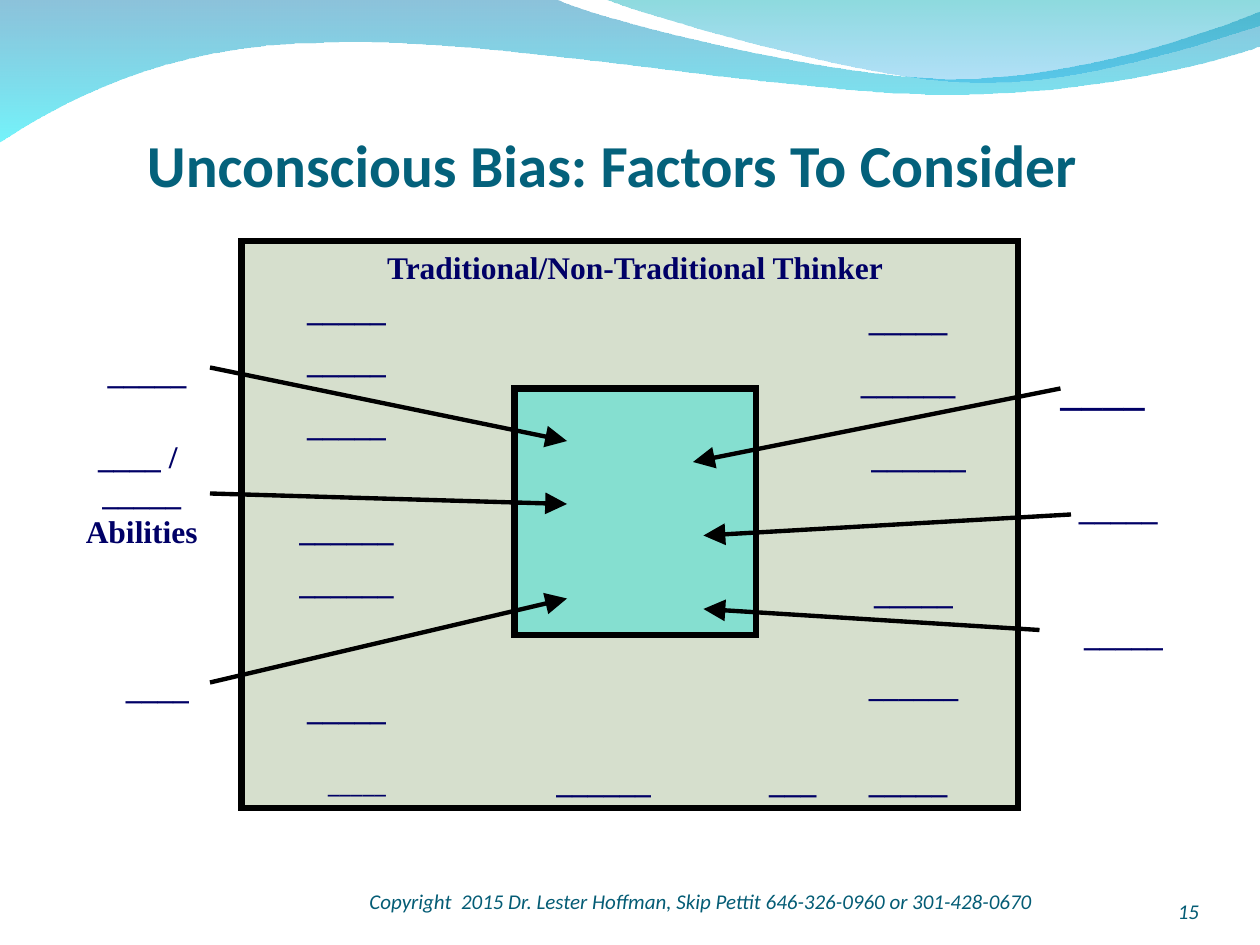
from lxml import etree
from pptx import Presentation
from pptx import util as u
from pptx.dml.color import RGBColor
from pptx.enum import shapes, text
from pptx.oxml.ns import qn

NAVY, BLACK = "000066", "000000"
SERIF, SANS = "Times New Roman", "Calibri"

# Each wave: start point, then line ends (x, y) or curves (x1, y1, x2, y2, x, y)
BACK_WAVE = [
    (-0.7, -0.7), (317, -0.7), (343, 12, 478, 45, 546, 45),
    (614, 45, 690, 19, 720, 6.5), (720.7, 26), (708, 32, 626, 55, 537, 54),
    (448, 54, 275, 20, 185, 24.5), (93, 25, 33, 60, -0.7, 81.4),
]
FRONT_WAVE = [
    (345, -0.7), (366, 8, 491, 45, 554, 47), (616, 50, 692, 23, 720, 15), (720, 0),
]

# Blanks inside the large square: text, left, width, tops
COLUMNS = [
    ("_____", 132, 132, (162, 192, 228, 390)),
    ("______", 132, 132, (288, 318)),
    ("_____", 450, 138, (168,)),
    ("______", 450, 138, (204,)),
    ("______", 456, 138, (246,)),
    ("_____", 456, 132, (324,)),
]
BOTTOM_ROW = [("______", 270, 150), ("___", 396, 114), ("_____", 462, 114)]
# Labels outside the large square: text, left, top, width, height
OUTER_LABELS = [
    ("_____", 36, 198, 96, 29),
    ("____ / \v_____ Abilities", 18, 246, 126, 72),
    ("____", 54, 378, 72, 29),
    ("_____", 576, 276, 126, 29),
    ("_____", 582, 348, 120, 29),
]
ARROWS = [
    (606, 222, 396, 264), (612, 294, 402, 306), (594, 360, 402, 348),
    (120, 210, 324, 252), (120, 282, 324, 288), (120, 390, 324, 342),
]


def color(value):
    return RGBColor.from_string(value)


def write(frame, words, size=18, font=SERIF, fill=NAVY, bold=False, italic=False,
          align=text.PP_ALIGN.LEFT):
    frame.word_wrap = True
    para = frame.paragraphs[0]
    para.text = words
    para.alignment = align
    for span in para.runs:
        span.font.size = u.Pt(size)
        span.font.name = font
        span.font.bold = bold
        span.font.italic = italic
        span.font.color.rgb = color(fill)


def add_text(parent, words, left, top, width, height=29, **style):
    box = parent.shapes.add_textbox(*map(u.Pt, (left, top, width, height)))
    box.text_frame.auto_size = text.MSO_AUTO_SIZE.SHAPE_TO_FIT_TEXT
    write(box.text_frame, words, **style)


def add_label(parent, words, left, top, width, height=29, bold=True, **style):
    add_text(parent, words, left, top, width, height, bold=bold,
             align=text.PP_ALIGN.CENTER, **style)


def add_square(parent, left, top, width, height, fill):
    square = parent.shapes.add_shape(shapes.MSO_SHAPE.RECTANGLE,
                                     *map(u.Pt, (left, top, width, height)))
    square.shadow.inherit = False
    square.fill.solid()
    square.fill.fore_color.rgb = color(fill)
    square.line.color.rgb = color(BLACK)
    square.line.width = u.Pt(3.5)
    outline = square._element.spPr.find(qn("a:ln"))
    etree.SubElement(outline, qn("a:miter"), lim="800000")


def add_arrow(parent, *ends):
    arrow = parent.shapes.add_connector(shapes.MSO_CONNECTOR.STRAIGHT, *map(u.Pt, ends))
    arrow.line.color.rgb = color(BLACK)
    arrow.line.width = u.Pt(2.5)
    properties = arrow._element.spPr
    etree.SubElement(properties.find(qn("a:ln")), qn("a:tailEnd"),
                     type="triangle", w="lg", len="lg")
    etree.SubElement(properties, qn("a:effectLst"))


def bend(wave, outline):
    """Turn the straight segments of a freeform into the outline's curves."""
    segments = wave._element.spPr.findall(".//" + qn("a:lnTo"))
    for segment, part in zip(segments, outline[1:]):
        if len(part) == 6:
            segment.tag = qn("a:cubicBezTo")
            segment.clear()
            for x, y in zip(part[::2], part[1::2]):
                etree.SubElement(segment, qn("a:pt"), x=str(u.Pt(x) - wave.left),
                                 y=str(u.Pt(y) - wave.top))


def add_wave(page, outline, stops):
    """Draw an outline filled from top to bottom; stops are (colour, opacity in %)."""
    points = [tuple(map(u.Pt, part[-2:])) for part in outline]
    builder = page.shapes.build_freeform(*points[0])
    builder.add_line_segments(points[1:], close=True)
    wave = builder.convert_to_shape()
    bend(wave, outline)
    wave.shadow.inherit = False
    wave.line.fill.background()
    wave.fill.gradient()
    wave.fill.gradient_angle = 270
    for stop, (value, _) in zip(wave.fill.gradient_stops, stops):
        stop.color.rgb = color(value)
    fills = wave._element.spPr.findall(".//" + qn("a:srgbClr"))
    for fill, (_, opacity) in zip(fills, stops):
        etree.SubElement(fill, qn("a:alpha"), val=str(opacity * 1000))


def set_title(page, words):
    title = page.shapes.title
    title.left, title.top, title.width, title.height = map(u.Pt, (84, 0, 636, 114))
    frame = title.text_frame
    frame.margin_left = frame.margin_right = frame.margin_bottom = 0
    frame.vertical_anchor = text.MSO_ANCHOR.BOTTOM
    frame.auto_size = text.MSO_AUTO_SIZE.NONE
    write(frame, words, size=34, font=SANS, fill="04617B", bold=True)


def add_labels(parent):
    add_label(parent, "Traditional/Non-Traditional Thinker", 138, 138, 450)
    for words, left, width, tops in COLUMNS:
        for top in tops:
            add_label(parent, words, left, top, width)
    for words, left, width in BOTTOM_ROW:
        add_label(parent, words, left, 432, width)
    for label in OUTER_LABELS:
        add_label(parent, *label)
    add_label(parent, "______", 456, 378, 132, 28, size=17)
    add_label(parent, "_____", 138, 432, 132, font="Cambria", bold=False)
    add_label(parent, "____", 594, 204, 72, 36, size=24)


def main():
    deck = Presentation()
    deck.slide_width, deck.slide_height = u.Pt(720), u.Pt(540)
    page = deck.slides.add_slide(deck.slide_layouts[5])

    add_wave(page, BACK_WAVE, [("0079AF", 45), ("00EBF8", 55)])
    add_wave(page, FRONT_WAVE, [("00ADB6", 45), ("009BE5", 30)])
    set_title(page, "Unconscious Bias: Factors To Consider")
    footer = dict(size=12, font=SANS, fill="045C75", italic=True, height=22)
    add_text(page, "Copyright  2015 Dr. Lester Hoffman, Skip Pettit "
             "646-326-0960 or 301-428-0670", 204, 504, 414, **footer)
    add_text(page, "15", 666, 510, 36, **footer)

    squares = page.shapes.add_group_shape()
    add_square(squares, 138, 138, 444, 324, "D6DFCD")
    add_square(squares, 294, 222, 138, 141, "85DFD0")
    add_labels(page.shapes.add_group_shape())
    arrows = page.shapes.add_group_shape()
    for ends in ARROWS:
        add_arrow(arrows, *ends)
    deck.save("out.pptx")


if __name__ == "__main__":
    main()
